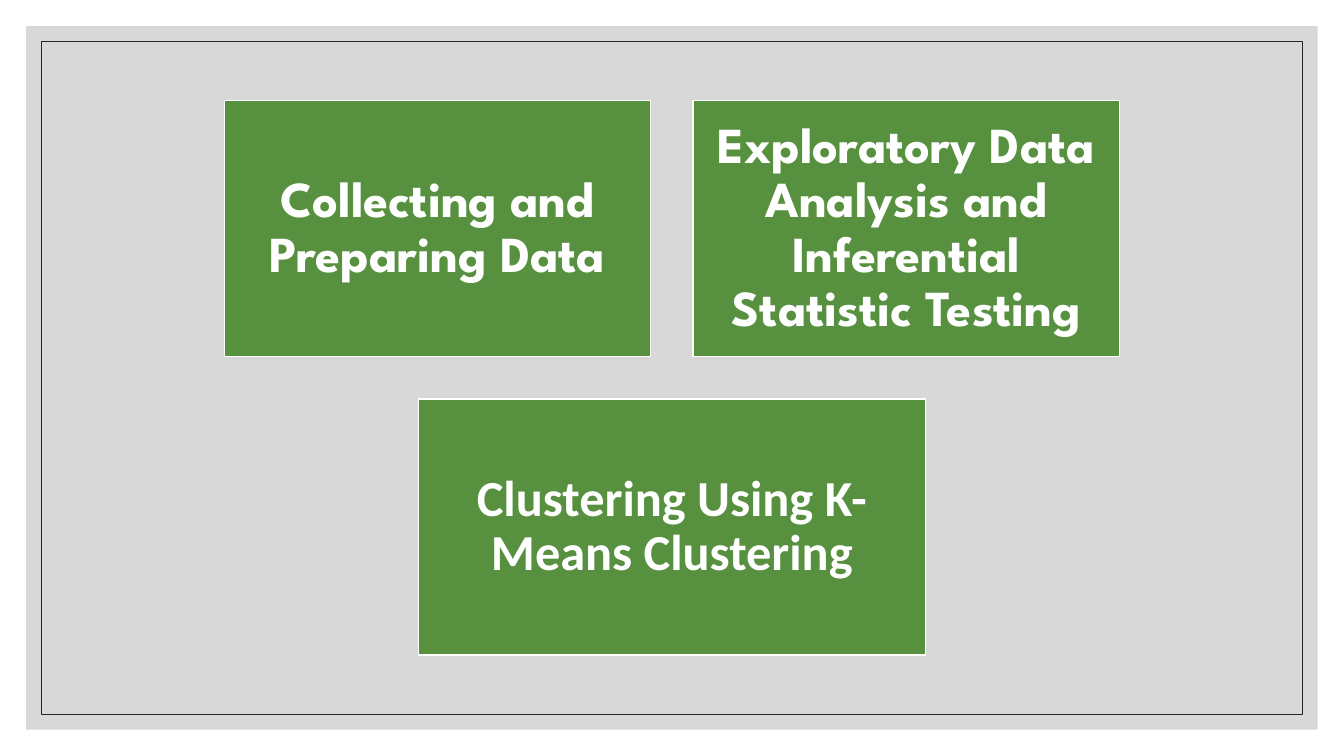
import pptx
import pptx.dml.color
import pptx.enum.shapes
import pptx.enum.text
import pptx.oxml
import pptx.oxml.ns
import pptx.util

WIDE, HIGH = 13.33, 7.5
TOP, TALL, GAP = 1, 2.54, 0.42
ROWS = [
    (4.23, [("Collecting and Preparing Data", "League Spartan"),
            ("Exploratory Data Analysis and Inferential Statistic Testing",
             "League Spartan")]),
    (5.03, [("Clustering Using K-Means Clustering", "Calibri")]),
]


def color(code):
    return pptx.dml.color.RGBColor.from_string(code)


def apply(item, values):
    for name, value in values.items():
        setattr(item, name, value)


class Deck:
    """Holds the style and the current slide."""
    green, white, gray, dark = "57903F", "FFFFFF", "BFBFBF", "262626"
    size = 36
    inset = pptx.util.Inches(0.15)

    def __init__(self):
        self.show = pptx.Presentation()
        apply(self.show, {"slide_width": pptx.util.Inches(WIDE),
                          "slide_height": pptx.util.Inches(HIGH)})
        self.slide = self.show.slides.add_slide(self.show.slide_layouts[6])

    def box(self, left, top, width, height, fill=None, line=None, weight=1):
        shape = self.slide.shapes.add_shape(
            pptx.enum.shapes.MSO_SHAPE.RECTANGLE,
            *map(pptx.util.Inches, (left, top, width, height)))
        shape.shadow.inherit = False
        for part, code in ((shape.fill, fill), (shape.line.fill, line)):
            if code:
                part.solid()
                part.fore_color.rgb = color(code)
            else:
                part.background()
        if line:
            shape.line.width = pptx.util.Pt(weight)
        return shape

    def frame(self, edge, **style):
        """Draw a rectangle set in from the slide by the same edge all round."""
        return self.box(edge, edge, WIDE - 2 * edge, HIGH - 2 * edge, **style)

    def fade(self, shape, share):
        """Set the opacity of a solid fill, in percent."""
        tone = shape.fill._xPr.find(".//" + pptx.oxml.ns.qn("a:srgbClr"))
        alpha = pptx.oxml.parse_xml(
            f'<a:alpha {pptx.oxml.ns.nsdecls("a")} val="{share * 1000}"/>')
        tone.append(alpha)

    def card(self, left, top, width, text, font):
        shape = self.box(left, top, width, TALL, self.green, self.white)
        frame = shape.text_frame
        apply(frame, {"word_wrap": True,
                      "vertical_anchor": pptx.enum.text.MSO_ANCHOR.MIDDLE})
        apply(frame, {"margin_" + side: self.inset
                      for side in ("left", "top", "right", "bottom")})
        para = frame.paragraphs[0]
        apply(para, {"alignment": pptx.enum.text.PP_ALIGN.CENTER,
                     "line_spacing": 0.9})
        run = para.add_run()
        run.text = text
        apply(run.font, {"name": font, "size": pptx.util.Pt(self.size),
                         "bold": True})
        run.font.color.rgb = color(self.white)

    def row(self, index, width, cards):
        """Place a row of cards centred on the slide."""
        step = width + GAP
        left = (WIDE - step * len(cards) + GAP) / 2
        top = TOP + index * (TALL + GAP)
        for column, (text, font) in enumerate(cards):
            self.card(left + column * step, top, width, text, font)


def main():
    deck = Deck()
    panel = deck.frame(0.26, fill=deck.gray)
    deck.fade(panel, 60)
    deck.frame(0.41, line=deck.dark, weight=0.5)
    for index, (width, cards) in enumerate(ROWS):
        deck.row(index, width, cards)
    deck.show.save("out.pptx")


if __name__ == "__main__":
    main()
